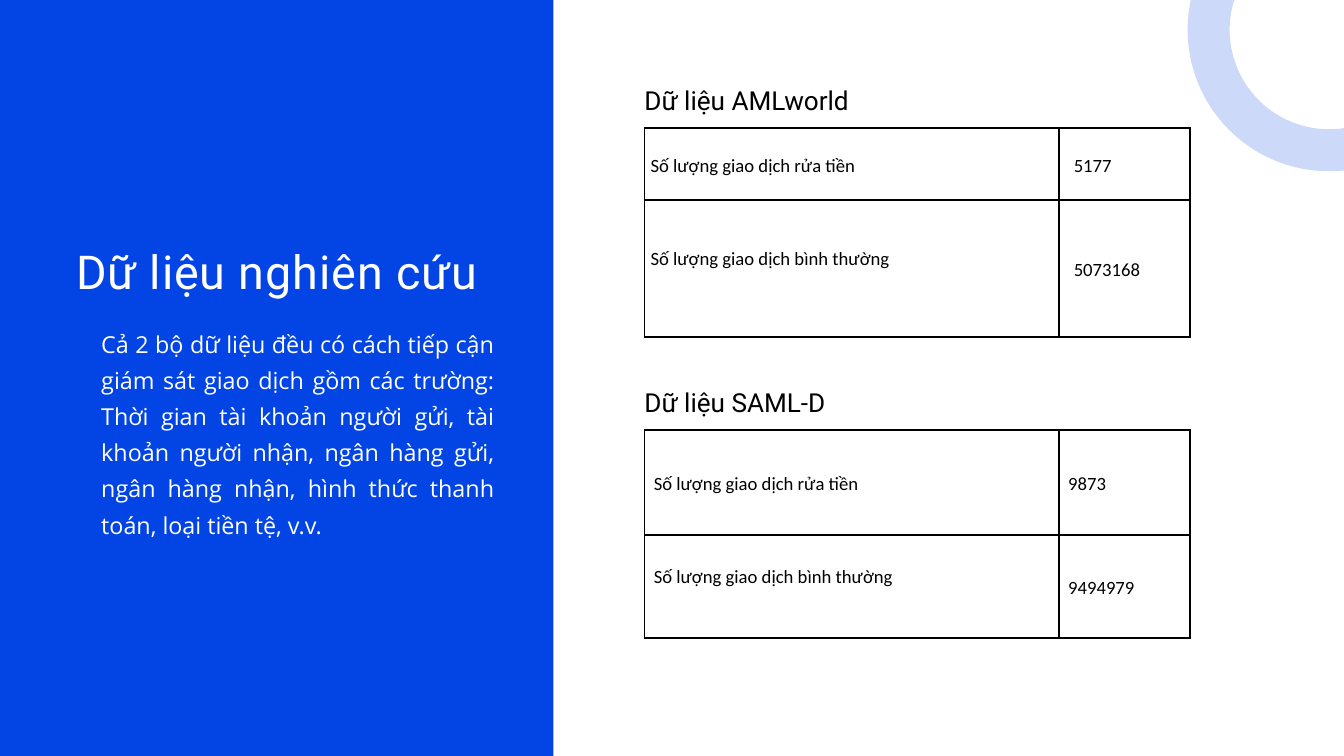
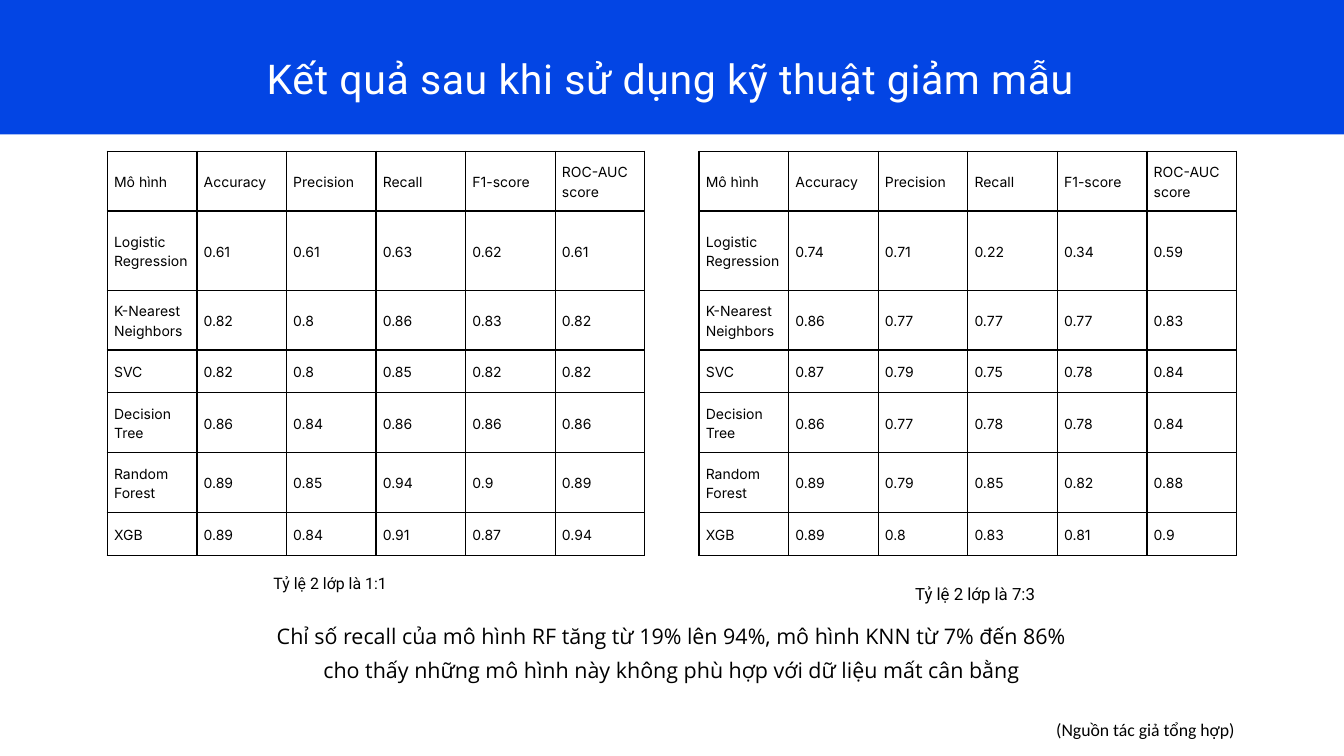
"""Build two slides on money-laundering data and undersampling results."""
from pptx import Presentation
from pptx.dml.color import RGBColor
from pptx.enum.shapes import MSO_SHAPE as SHAPE
from pptx.enum.text import MSO_ANCHOR as ANCHOR, MSO_AUTO_SIZE as FIT, PP_ALIGN as ALIGN
from pptx.oxml import parse_xml
from pptx.oxml.ns import nsdecls, qn
from pptx.util import Pt
from lxml.etree import SubElement

BLUE, BLACK, WHITE = "0345E4", "000000", "FFFFFF"
HEADING, BODY, GRID, PLAIN = "Roboto", "Open Sans", "Inter", "Calibri"
WIDTH, HEIGHT = 1440, 810

METRICS = ["Mô hình", "Accuracy", "Precision", "Recall", "F1-score", "ROC-AUC score"]
METRIC_ROWS = [64, 85, 64, 46, 64, 64, 46]
BALANCED = [
    ["Logistic Regression", 0.61, 0.61, 0.63, 0.62, 0.61],
    ["K-Nearest Neighbors", 0.82, 0.8, 0.86, 0.83, 0.82],
    ["SVC", 0.82, 0.8, 0.85, 0.82, 0.82],
    ["Decision Tree", 0.86, 0.84, 0.86, 0.86, 0.86],
    ["Random Forest", 0.89, 0.85, 0.94, 0.9, 0.89],
    ["XGB", 0.89, 0.84, 0.91, 0.87, 0.94],
]
SEVEN_TO_THREE = [
    ["Logistic Regression", 0.74, 0.71, 0.22, 0.34, 0.59],
    ["K-Nearest Neighbors", 0.86, 0.77, 0.77, 0.77, 0.83],
    ["SVC", 0.87, 0.79, 0.75, 0.78, 0.84],
    ["Decision Tree", 0.86, 0.77, 0.78, 0.78, 0.84],
    ["Random Forest", 0.89, 0.79, 0.85, 0.82, 0.88],
    ["XGB", 0.89, 0.8, 0.83, 0.81, 0.9],
]


def rgb(color):
    """Turn a hex string into a colour."""
    return RGBColor.from_string(color)


def write(tf, text, font, size, leading, color=BLACK, align=ALIGN.LEFT):
    """Put one run into the first paragraph of a text frame and return it."""
    tf.word_wrap = True
    p = tf.paragraphs[0]
    p.alignment = align
    p.line_spacing = Pt(leading)
    r = p.add_run()
    r.text = text
    r.font.name, r.font.size = font, Pt(size)
    r.font.color.rgb = rgb(color)
    return r


def fit_frame(tf):
    """Remove the insets and let the box follow its text."""
    tf.margin_left = tf.margin_top = tf.margin_right = tf.margin_bottom = 0
    tf.vertical_anchor = ANCHOR.TOP
    tf.auto_size = FIT.SHAPE_TO_FIT_TEXT


def add_text(s, box, text, font, size, leading, color=BLACK, align=ALIGN.LEFT):
    """Add a text box without insets."""
    tf = s.shapes.add_textbox(*map(Pt, box)).text_frame
    fit_frame(tf)
    write(tf, text, font, size, leading, color, align)


def add_slide(prs, band, title_box, title, size, leading, spacing, align=ALIGN.LEFT):
    """Add a slide with a blue band behind a white title."""
    s = prs.slides.add_slide(prs.slide_layouts[5])
    sp = s.shapes.add_shape(SHAPE.RECTANGLE, 0, 0, *map(Pt, band))
    sp.shadow.inherit = False
    sp.fill.solid()
    sp.fill.fore_color.rgb = rgb(BLUE)
    sp.line.fill.background()
    head = s.shapes.title
    head.element.addprevious(sp.element)
    head.left, head.top, head.width, head.height = map(Pt, title_box)
    fit_frame(head.text_frame)
    r = write(head.text_frame, title, HEADING, size, leading, WHITE, align)
    r.font._element.set("spc", str(spacing))
    return s


def add_ring(s, left, top, size, weight, opacity):
    """Add a see-through blue ring."""
    sp = s.shapes.add_shape(SHAPE.OVAL, Pt(left), Pt(top), Pt(size), Pt(size))
    sp.shadow.inherit = False
    sp.fill.background()
    sp.line.width = Pt(weight)
    sp.line.color.rgb = rgb(BLUE)
    color = next(sp.element.iter(qn("a:srgbClr")))
    SubElement(color, qn("a:alpha"), val=str(opacity * 1000))


def set_borders(cell, weight):
    """Draw black lines on all four sides of a cell."""
    for side in "LRTB":
        cell._tc.get_or_add_tcPr().append(parse_xml(
            f'<a:ln{side} {nsdecls("a")} w="{Pt(weight)}"><a:solidFill>'
            f'<a:srgbClr val="{BLACK}"/></a:solidFill></a:ln{side}>'))


def add_grid(s, left, top, widths, heights, rows, font, size, leading, inset, weight):
    """Add a plain bordered table and return it."""
    frame = s.shapes.add_table(len(rows), len(widths), Pt(left), Pt(top),
                               Pt(sum(widths)), Pt(sum(heights)))
    table = frame.table
    table.first_row = table.horz_banding = False
    for column, width in zip(table.columns, widths):
        column.width = Pt(width)
    for row, height, values in zip(table.rows, heights, rows):
        row.height = Pt(height)
        for cell, value in zip(row.cells, values):
            set_borders(cell, weight)
            cell.fill.background()
            cell.vertical_anchor = ANCHOR.MIDDLE
            cell.margin_left = cell.margin_right = Pt(inset)
            cell.margin_top = cell.margin_bottom = Pt(inset)
            write(cell.text_frame, str(value), font, size, leading)
    return table


def add_dataset(s, top, name, laundering, normal, heights, inset, value_inset):
    """Add a named table of laundering and normal transaction counts."""
    left = 690.5
    add_text(s, (left, top, 620, 40), name, HEADING, 28, 43.4)
    rows = [["Số lượng giao dịch rửa tiền", laundering],
            ["Số lượng giao dịch bình thường", normal]]
    table = add_grid(s, left, top + 56.8, [444, 140.5], heights, rows,
                     PLAIN, 20, 28, inset, 2.25)
    table.cell(1, 0).margin_bottom = Pt(inset + 24)
    for row in table.rows:
        row.cells[1].margin_left = Pt(value_inset)


def build_data_slide(prs):
    """Build the slide on the two data sets."""
    s = add_slide(prs, (593, HEIGHT), (81.5, 250, 521, 65),
                  "Dữ liệu nghiên cứu", 50, 70, 100)
    add_ring(s, 1295, -97, 258, 45, 20)
    add_text(s, (108.5, 345, 421, 228),
             "Cả 2 bộ dữ liệu đều có cách tiếp cận giám sát giao dịch gồm các trường: "
             "Thời gian tài khoản người gửi, tài khoản người nhận, ngân hàng gửi, "
             "ngân hàng nhận, hình thức thanh toán, loại tiền tệ, v.v.",
             BODY, 25, 38.7, WHITE, ALIGN.JUSTIFY)
    add_dataset(s, 80.5, "Dữ liệu AMLworld", 5177, 5073168, [77, 146.5], 6.5, 16)
    add_dataset(s, 404, "Dữ liệu SAML-D", 9873, 9494979, [112, 111], 10, 10)


def build_results_slide(prs):
    """Build the slide on results after undersampling."""
    s = add_slide(prs, (WIDTH, 144), (112.5, 65, 1212.5, 45),
                  "Kết quả sau khi sử dụng kỹ thuật giảm mẫu", 44, 44.8, 60, ALIGN.CENTER)
    for left, scores in ((115, BALANCED), (749, SEVEN_TO_THREE)):
        add_grid(s, left, 162, [96] * len(METRICS), METRIC_ROWS,
                 [METRICS] + scores, GRID, 15, 21, 7.2, 1.5)
    add_text(s, (276, 660, 888, 68),
             "Chỉ số recall của mô hình RF tăng từ 19% lên 94%, mô hình KNN từ 7% đến 86% "
             "cho thấy những mô hình này không phù hợp với dữ liệu mất cân bằng",
             BODY, 23, 35.6, align=ALIGN.CENTER)
    add_text(s, (293, 609, 178.5, 24.5), "Tỷ lệ 2 lớp là 1:1", HEADING, 17, 26.4)
    add_text(s, (980.5, 619, 166.5, 25), "Tỷ lệ 2 lớp là 7:3", HEADING, 18, 27.9)
    add_text(s, (1112.5, 766, 229.5, 25), "(Nguồn tác giả tổng hợp)",
             PLAIN, 19, 26.6, align=ALIGN.CENTER)


def main():
    """Build and save the presentation."""
    prs = Presentation()
    prs.slide_width, prs.slide_height = Pt(WIDTH), Pt(HEIGHT)
    build_data_slide(prs)
    build_results_slide(prs)
    prs.save("out.pptx")


if __name__ == "__main__":
    main()
